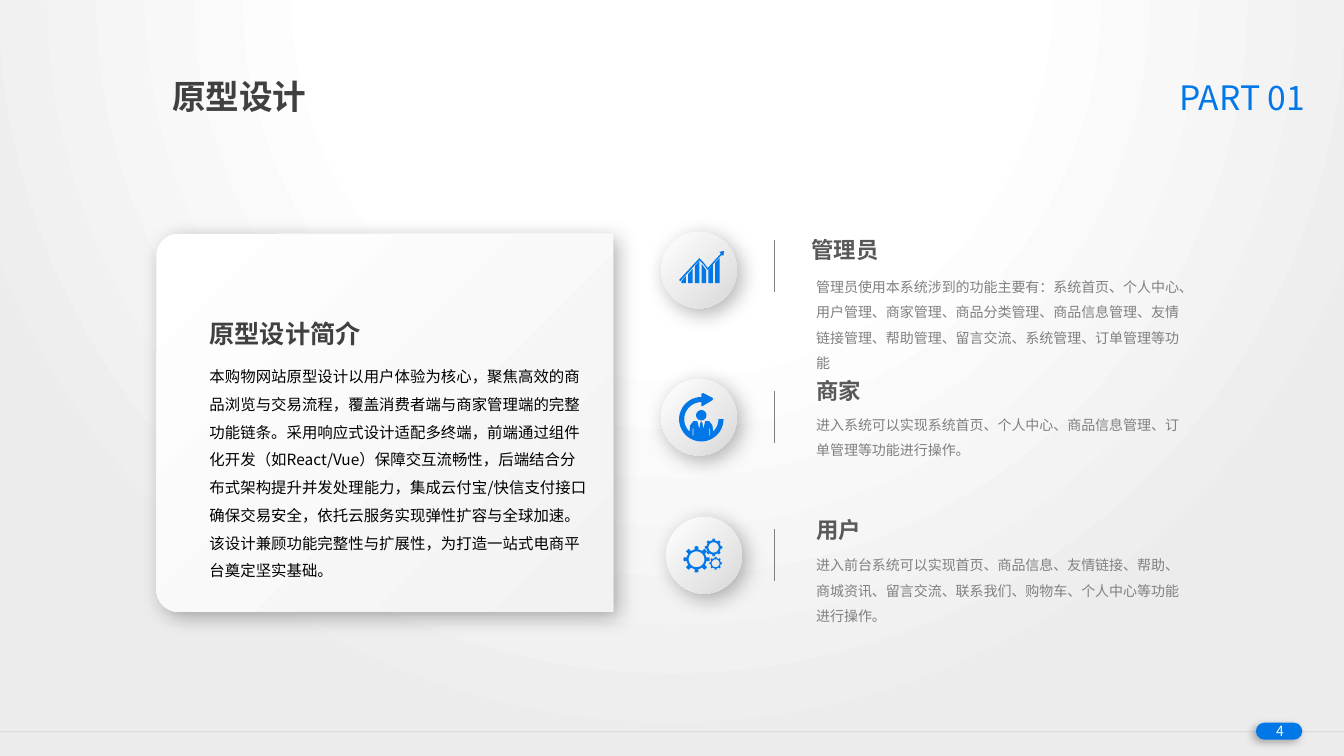
from math import cos, radians, sin

from lxml.etree import SubElement
from pptx import Presentation
from pptx.dml.color import RGBColor
from pptx.enum.shapes import MSO_CONNECTOR, MSO_SHAPE
from pptx.enum.text import PP_ALIGN
from pptx.oxml import parse_xml
from pptx.oxml.ns import nsdecls, qn
from pptx.util import Cm, Pt

COLOURS = {
    "white": "FFFFFF", "edge": "ECECEC", "panel": "F2F2F2", "disc": "D9D9D9",
    "blue": "0177E8", "number": "F8F8F8", "heading": "404040", "role": "595959",
    "detail": "808080", "black": "000000",
}
SANS = "Noto Sans CJK SC"
INTRO = [
    "本购物网站原型设计以用户体验为核心，聚焦高效的商品浏览与交易流程，覆盖消费者端与商家管理端的完整功能链条。"
    "采用响应式设计适配多终端，前端通过组件化开发（如React/Vue）保障交互流畅性，后端结合分布式架构提升并发处理能力，"
    "集成云付宝/快信支付接口确保交易安全，依托云服务实现弹性扩容与全球加速。",
    "该设计兼顾功能完整性与扩展性，为打造一站式电商平台奠定坚实基础。",
]


def rgb(name):
    """Return the named palette colour."""
    return RGBColor.from_string(COLOURS[name])


def add_text(page, box, lines, size, colour, bold=False, spacing=1.5,
             align=PP_ALIGN.LEFT, inset=(0.25, 0.13), wrap=True, face=SANS):
    """Place paragraphs in one uniform style."""
    frame = page.shapes.add_textbox(*map(Cm, box)).text_frame
    frame.word_wrap = wrap
    frame.margin_left = frame.margin_right = Cm(inset[0])
    frame.margin_top = frame.margin_bottom = Cm(inset[1])
    for index, line in enumerate(lines):
        para = frame.add_paragraph() if index else frame.paragraphs[0]
        para.text = line
        para.alignment = align
        para.line_spacing = spacing
        font = para.font
        font.size, font.bold, font.name = Pt(size), bold, face
        font.color.rgb = rgb(colour)
        SubElement(font._rPr, qn("a:ea"), typeface=face)


def fill_gradient(shape, start, end, angle=315):
    """Fill a shape with a two-colour gradient and no outline."""
    shape.shadow.inherit = False
    shape.line.fill.background()
    shape.fill.gradient()
    shape.fill.gradient_angle = angle
    for position, (stop, name) in enumerate(zip(shape.fill.gradient_stops, (start, end))):
        stop.color.rgb = rgb(name)
        stop.position = position


def fill_solid(shape, name):
    """Fill a shape with one colour and no outline or shadow."""
    shape.shadow.inherit = False
    shape.line.fill.background()
    shape.fill.solid()
    shape.fill.fore_color.rgb = rgb(name)


def add_shadow(shape, blur, distance, angle):
    """Cast a soft black shadow."""
    effects = shape._element.spPr.find(qn("a:effectLst"))
    effects.append(parse_xml(
        f'<a:outerShdw {nsdecls("a")} blurRad="{Pt(blur)}" dist="{Pt(distance)}" '
        f'dir="{angle * 60000}" algn="ctr" rotWithShape="0"><a:srgbClr val="{COLOURS["black"]}">'
        '<a:alpha val="30000"/></a:srgbClr></a:outerShdw>'))


def add_rule(page, start, end, colour, width):
    """Draw a thin straight line and return it."""
    rule = page.shapes.add_connector(MSO_CONNECTOR.STRAIGHT, *map(Cm, start + end))
    rule.line.color.rgb = rgb(colour)
    rule.line.width = Pt(width)
    SubElement(rule._element.spPr, qn("a:effectLst"))
    return rule


def arc(x, y, radius, start, end, steps=36):
    """Return points along an arc, clockwise in degrees."""
    angles = [radians(start + (end - start) * step / steps) for step in range(steps + 1)]
    return [(x + radius * cos(angle), y + radius * sin(angle)) for angle in angles]


def add_outline(page, x, y, contours):
    """Build one freeform from contours placed relative to a point."""
    builder = None
    for contour in contours:
        points = [(Cm(x + dx), Cm(y + dy)) for dx, dy in contour]
        if builder is None:
            builder = page.shapes.build_freeform(*points[0])
        else:
            builder.move_to(*points[0])
        builder.add_line_segments(points[1:], close=True)
    return builder.convert_to_shape()


def chart_icon():
    """Return contours of rising bars under a trend arrow."""
    tops = [(0.28, 0.15), (0.1, -0.03), (-0.1, -0.23), (-0.15, 0), (0, -0.13), (-0.18, -0.3)]
    lefts = [-0.44 + 0.17 * index for index in range(len(tops))]
    bars = [[(left, 0.33), (left, first), (left + 0.11, second), (left + 0.11, 0.33)]
            for left, (first, second) in zip(lefts, tops)]
    trend = [(-0.5, 0.25), (0.01, -0.3), (0.11, -0.2), (0.22, -0.05), (0.55, -0.41),
             (0.52, -0.46), (0.63, -0.48), (0.62, -0.36), (0.57, -0.38), (0.22, 0),
             (0.11, -0.15), (0.01, -0.25), (-0.47, 0.28)]
    return bars + [trend]


def merchant_icon():
    """Return contours of a person inside a circling arrow."""
    arrow = [(0, -0.64), (0.05, -0.66), (0.3, -0.53), (0.28, -0.48), (0.03, -0.33), (0, -0.33)]
    half = [(-0.3, 0.33), (-0.28, 0.15), (-0.2, 0.05), (-0.1, 0.05), (-0.05, 0.25), (-0.03, 0.1)]
    body = half + [(0, 0.05)] + [(-x, y) for x, y in reversed(half)]
    ring = (arc(0, 0, 0.56, 0, 270) + arrow + arc(0, 0, 0.43, 270, 132)
            + body + arc(0, 0, 0.43, 48, 0))
    sleeves = [[(x, 0.23), (x + 0.02, 0.23), (x + 0.02, 0.41), (x, 0.41)] for x in (-0.22, 0.2)]
    contours = [ring, arc(0, -0.1, 0.13, 0, 360)] + sleeves
    return [[(x + 0.06, y + 0.05) for x, y in contour] for contour in contours]


def gears_icon():
    """Return contours of three toothed wheels with holes."""
    contours = []
    for x, y, tip, root, hole in [(-0.19, 0.1, 0.33, 0.25, 0.2), (0.29, 0.2, 0.16, 0.13, 0.1),
                                  (0.24, -0.2, 0.22, 0.18, 0.13)]:
        wheel = []
        for tooth in range(0, 360, 45):
            wheel += arc(x, y, tip, tooth - 8, tooth + 8, 2)
            wheel += arc(x, y, root, tooth + 11, tooth + 34, 4)
        contours += [wheel, arc(x, y, hole, 360, 0)]
    return contours


def add_backdrop(page, width, height):
    """Draw the glowing background, footer line and page number."""
    backdrop = page.shapes.add_shape(MSO_SHAPE.RECTANGLE, 0, 0, Cm(width), Cm(height))
    fill_gradient(backdrop, "white", "edge")
    backdrop.fill.gradient_stops[0].position = 0.43
    gradient = backdrop._element.spPr.find(qn("a:gradFill"))
    gradient.replace(gradient.find(qn("a:lin")), parse_xml(
        f'<a:path {nsdecls("a")} path="circle">'
        '<a:fillToRect l="50000" t="-80000" r="50000" b="180000"/></a:path>'))
    footer = add_rule(page, (0, 18.44), (width, 18.44), "disc", 1)
    SubElement(footer._element.spPr.find(".//" + qn("a:srgbClr")), qn("a:alpha"), val="70000")
    pill = page.shapes.add_shape(MSO_SHAPE.ROUNDED_RECTANGLE, *map(Cm, (31.65, 18.21, 1.17, 0.43)))
    pill.adjustments[0] = 0.5
    fill_solid(pill, "blue")
    add_shadow(pill, 6, 3, 135)
    add_text(page, (31.57, 18.08, 1.37, 0.69), ["4"], 10, "number", spacing=1,
             align=PP_ALIGN.CENTER)


def add_header(page):
    """Write the slide title and part label."""
    add_text(page, (4.09, 1.57, 7.98, 1.37), ["原型设计"], 24, "heading", True, 1.2)
    add_text(page, (28.09, 1.6, 5.05, 1.37), ["PART 01"], 24, "blue", spacing=1.2,
             align=PP_ALIGN.RIGHT)


def add_intro(page, left, top, width, height):
    """Draw the introduction panel with rounded left corners."""
    corner = 0.56
    outline = [(width, 0), (width, height)]
    outline += arc(corner, height - corner, corner, 90, 180, 12)
    outline += arc(corner, corner, corner, 180, 270, 12)
    panel = add_outline(page, left, top, [outline])
    fill_gradient(panel, "white", "panel")
    add_shadow(panel, 15, 5, 45)
    add_text(page, (left + 1.09, top + 3, 10.11, 6.48), INTRO, 11, "black",
             face="Noto Sans CJK JP")
    add_text(page, (left + 1.09, top + 1.63, 4.37, 1.27), ["原型设计简介"], 18, "heading", True,
             wrap=False)


def add_role(page, left, top, icon, rule_top, title_box, detail_top, title, detail):
    """Draw one user role: icon disc, divider, title and detail."""
    width, height = 1.91, 1.93
    disc = page.shapes.add_shape(MSO_SHAPE.OVAL, *map(Cm, (left, top, width, height)))
    fill_gradient(disc, "white", "disc")
    add_shadow(disc, 15, 5, 45)
    fill_solid(add_outline(page, left + width / 2, top + height / 2, icon), "blue")
    add_rule(page, (19.51, top + rule_top), (19.51, top + rule_top + 1.31), "detail", 0.5)
    add_text(page, title_box + (8, 1.04), [title], 16, "role", True, 1, inset=(0.33, 0.18))
    add_text(page, (20.37, detail_top, 9.7, 2), [detail], 10, "detail", inset=(0.2, 0.1))


def main():
    """Build and save the slide."""
    deck = Presentation()
    deck.slide_width, deck.slide_height = Cm(33.87), Cm(19.05)
    page = deck.slides.add_slide(deck.slide_layouts[6])
    add_backdrop(page, 33.87, 19.05)
    add_intro(page, 3.94, 5.89, 11.51, 9.53)
    add_role(page, 16.66, 5.84, chart_icon(), 0.21, (20.12, 5.77), 6.71, "管理员",
             "管理员使用本系统涉到的功能主要有：系统首页、个人中心、用户管理、商家管理、商品分类管理、"
             "商品信息管理、友情链接管理、帮助管理、留言交流、系统管理、订单管理等功能")
    add_role(page, 16.66, 9.55, merchant_icon(), 0.31, (20.24, 9.32), 10.19, "商家",
             "进入系统可以实现系统首页、个人中心、商品信息管理、订单管理等功能进行操作。")
    add_role(page, 16.79, 13.03, gears_icon(), 0.31, (20.24, 12.83), 13.72, "用户",
             "进入前台系统可以实现首页、商品信息、友情链接、帮助、商城资讯、留言交流、联系我们、"
             "购物车、个人中心等功能进行操作。")
    add_header(page)
    deck.save("out.pptx")


if __name__ == "__main__":
    main()
